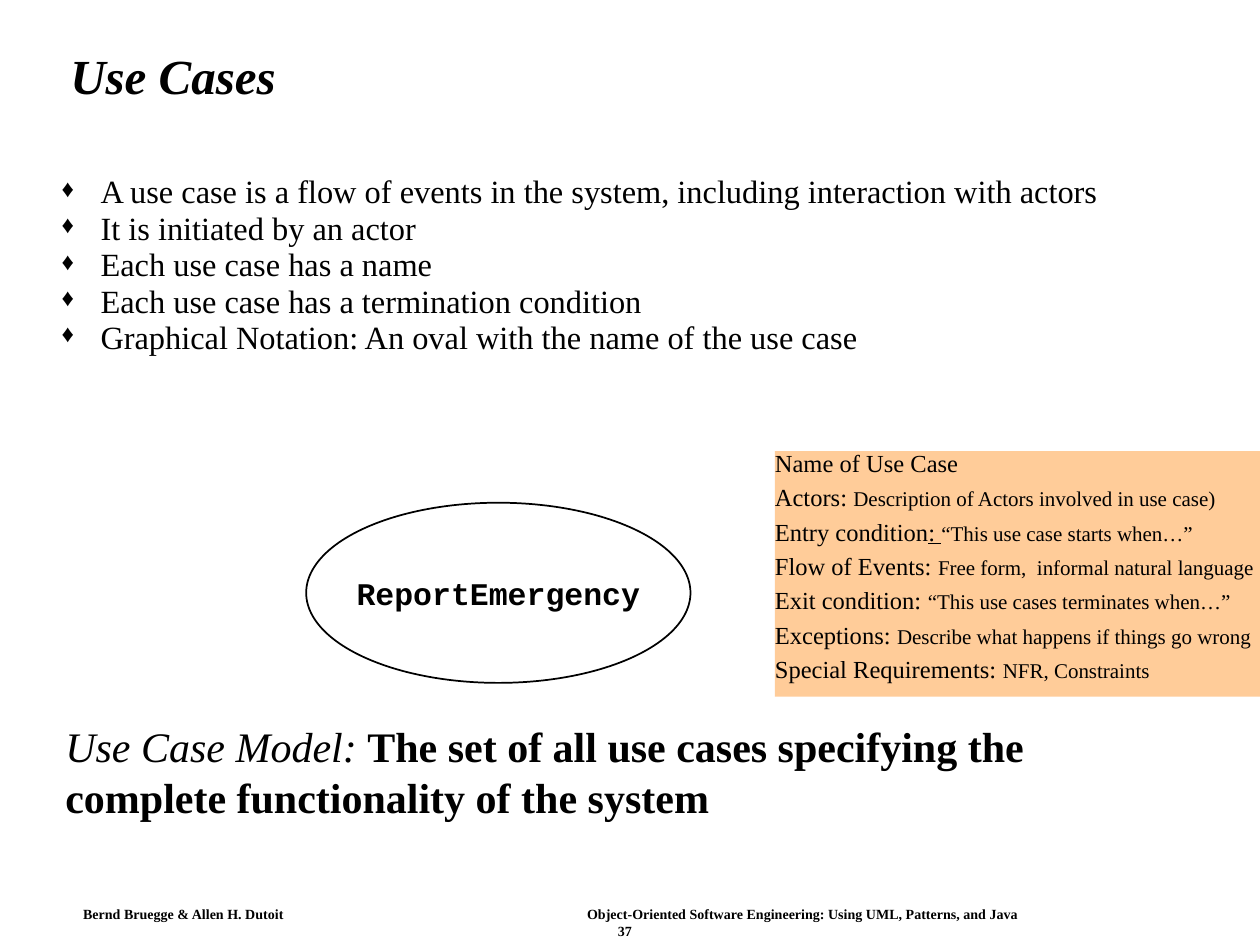
from lxml.etree import SubElement
from pptx import Presentation
from pptx.dml.color import RGBColor
from pptx.enum.shapes import MSO_SHAPE
from pptx.enum.text import MSO_ANCHOR, PP_ALIGN
from pptx.oxml.ns import qn
from pptx.util import Inches, Pt

COLORS = {"ink": "000000", "paper": "FFFFFF", "template": "FFCC99"}
SERIF = "Times New Roman"
MONO = "Courier New"

BULLETS = [
    "A use case is a flow of events in the system, including interaction with actors",
    "It is initiated by an actor",
    "Each use case has a name",
    "Each use case has a termination condition",
    "Graphical Notation: An oval with the name of the use case",
]
TEMPLATE_FIELDS = [
    ("Name of Use Case", ""),
    ("Actors: ", "Description of Actors involved in use case)"),
    ("Entry condition", "“This use case starts when…”"),
    ("Flow of Events: ", "Free form,  informal natural language"),
    ("Exit condition: ", "“This use cases terminates when…”"),
    ("Exceptions: ", "Describe what happens if things go wrong"),
    ("Special Requirements: ", "NFR, Constraints"),
]


def color(name):
    return RGBColor.from_string(COLORS[name])


def set_frame(shape, margins=(0.1, 0.05), anchor=MSO_ANCHOR.TOP, wrap=True):
    frame = shape.text_frame
    frame.word_wrap = wrap
    frame.vertical_anchor = anchor
    frame.margin_left = frame.margin_right = Inches(margins[0])
    frame.margin_top = frame.margin_bottom = Inches(margins[1])
    return frame


def add_text_box(page, box, **options):
    return set_frame(page.shapes.add_textbox(*map(Inches, box)), **options)


def add_shape(page, kind, box, fill):
    shape = page.shapes.add_shape(kind, *map(Inches, box))
    shape.shadow.inherit = False
    shape.fill.solid()
    shape.fill.fore_color.rgb = color(fill)
    return shape


def style_paragraph(para, size, name=SERIF, bold=False, italic=False, align=PP_ALIGN.LEFT):
    para.alignment = align
    para.font.size = Pt(size)
    para.font.name = name
    para.font.bold = bold
    para.font.italic = italic
    para.font.color.rgb = color("ink")


def add_span(para, text):
    span = para.add_run()
    span.text = text
    return span


def list_paragraphs(frame, texts):
    for index, text in enumerate(texts):
        yield (frame.add_paragraph() if index else frame.paragraphs[0]), text


def set_hanging_indent(para):
    properties = para._p.get_or_add_pPr()
    properties.set("marL", str(Inches(0.31)))
    properties.set("indent", str(-Inches(0.31)))
    return properties


def add_bullet(para):
    properties = set_hanging_indent(para)
    bullet_color = SubElement(properties, qn("a:buClr"))
    SubElement(bullet_color, qn("a:srgbClr"), val=COLORS["ink"])
    SubElement(properties, qn("a:buSzPct"), val="75000")
    SubElement(properties, qn("a:buFont"), typeface=SERIF)
    SubElement(properties, qn("a:buChar"), char="♦")


def add_title(page, box):
    para = add_text_box(page, box, anchor=MSO_ANCHOR.MIDDLE).paragraphs[0]
    para.text = "Use Cases"
    para.line_spacing = 0.9
    style_paragraph(para, 28, bold=True, italic=True)


def add_bullets(page, box):
    for para, text in list_paragraphs(add_text_box(page, box), BULLETS):
        para.text = text
        para.line_spacing = 0.6
        para.space_before = Pt(7.5)
        style_paragraph(para, 18.5)
        add_bullet(para)


def add_use_case_oval(page, box):
    oval = add_shape(page, MSO_SHAPE.OVAL, box, "paper")
    oval.line.color.rgb = color("ink")
    oval.line.width = Pt(1)
    para = set_frame(oval, anchor=MSO_ANCHOR.MIDDLE, wrap=False).paragraphs[0]
    para.text = "ReportEmergency"
    style_paragraph(para, 18, name=MONO, bold=True, align=PP_ALIGN.CENTER)


def add_use_case_template(page, box):
    panel = add_shape(page, MSO_SHAPE.RECTANGLE, box, "template")
    panel.line.fill.background()
    frame = set_frame(panel, margins=(0, 0))
    for para, (label, description) in list_paragraphs(frame, TEMPLATE_FIELDS):
        para.line_spacing = 0.9
        para.space_before = Pt(4.5 if description else 5.2)
        style_paragraph(para, 14)
        set_hanging_indent(para)
        add_span(para, label)
        if label == "Entry condition":
            add_span(para, ": ").font.underline = True
        if description:
            add_span(para, description).font.size = Pt(12)


def add_definition(page, box):
    para = add_text_box(page, box).paragraphs[0]
    style_paragraph(para, 24)
    add_span(para, "Use Case Model: ").font.italic = True
    add_span(
        para, "The set of all use cases specifying the complete functionality of the system"
    ).font.bold = True


def add_footer(page, box):
    left, top, width, height = box
    line_height = height / 2
    parts = [
        ("Bernd Bruegge & Allen H. Dutoit", 0, 0, 2, PP_ALIGN.LEFT),
        ("Object-Oriented Software Engineering: Using UML, Patterns, and Java", 4, 0, 4, PP_ALIGN.LEFT),
        ("37", 0, line_height, width, PP_ALIGN.CENTER),
    ]
    for text, across, down, part_width, align in parts:
        part_box = (left + across, top + down, part_width, line_height)
        para = add_text_box(page, part_box, margins=(0, 0)).paragraphs[0]
        para.text = text
        style_paragraph(para, 8, bold=True, align=align)


def main():
    deck = Presentation()
    deck.slide_width = Inches(10)
    deck.slide_height = Inches(7.5)
    page = deck.slides.add_slide(deck.slide_layouts[6])
    add_footer(page, (0.66, 7.19, 8.6, 0.26))
    add_use_case_oval(page, (2.43, 3.99, 3.05, 1.43))
    add_title(page, (0.46, 0.24, 8.92, 0.77))
    add_bullets(page, (0.39, 1.42, 9.03, 2.77))
    add_definition(page, (0.42, 5.67, 9.03, 1.08))
    add_use_case_template(page, (6.15, 3.58, 3.85, 1.95))
    deck.save("out.pptx")


if __name__ == "__main__":
    main()
